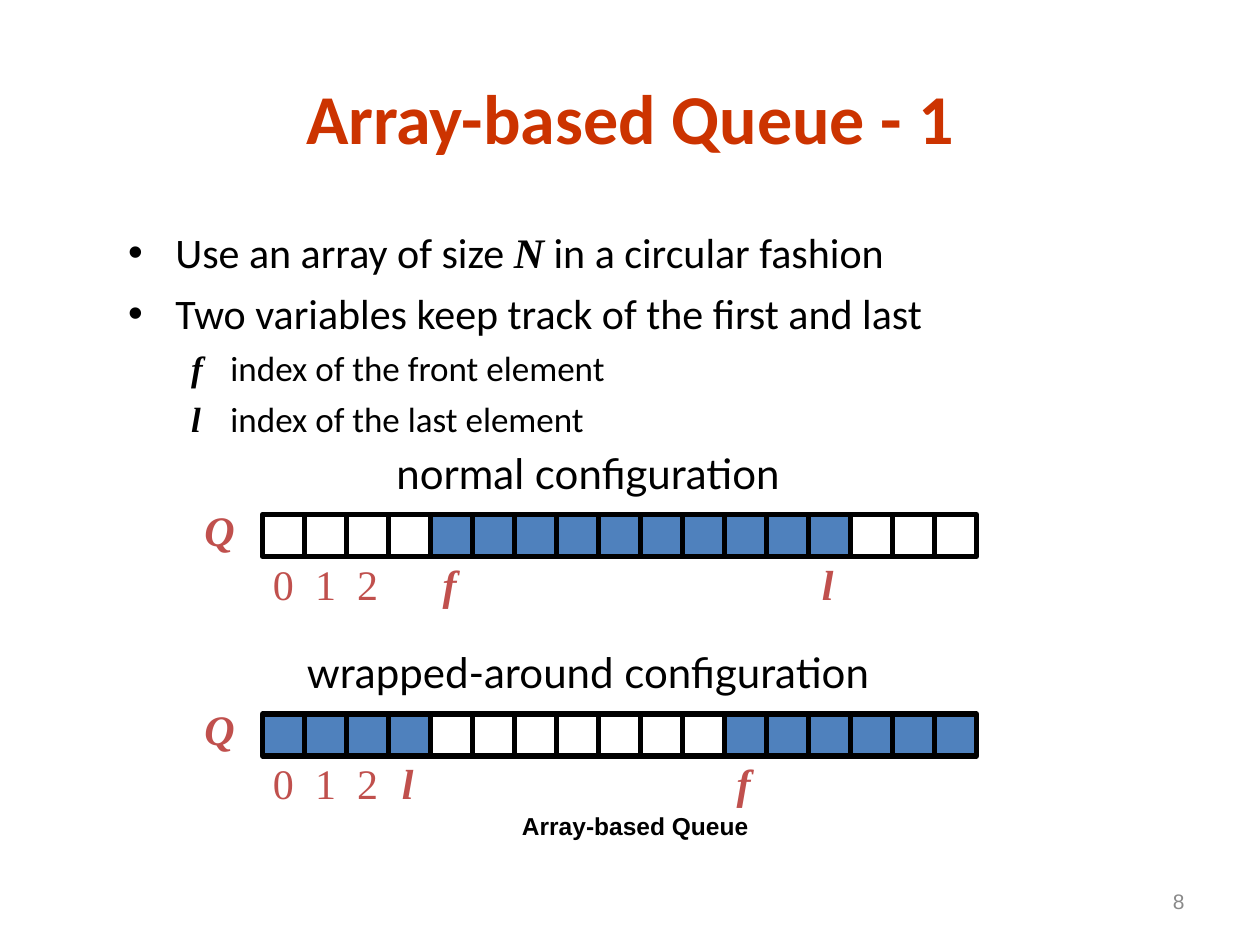
from lxml.etree import SubElement
from pptx import Presentation
from pptx.dml.color import RGBColor
from pptx.enum.shapes import MSO_SHAPE
from pptx.enum.text import MSO_ANCHOR, MSO_AUTO_SIZE, PP_ALIGN
from pptx.oxml.ns import qn
from pptx.util import Pt

BLACK = RGBColor(0x00, 0x00, 0x00)
WHITE = RGBColor(0xFF, 0xFF, 0xFF)
ORANGE = RGBColor(0xCC, 0x33, 0x00)
RED = RGBColor(0xC0, 0x50, 0x4D)
BLUE = RGBColor(0x4F, 0x81, 0xBD)
GRAY = RGBColor(0x89, 0x89, 0x89)
SERIF = "Times New Roman"

TITLE = "Array-based Queue - 1"
FOOTER = "Array-based Queue"
PAGE_NUMBER = "8"
VARIABLES = ("N", "f", "l")
BULLETS = [
    (0, ["Use an array of size ", "N", " in a circular fashion"]),
    (0, ["Two variables keep track of the first and last"]),
    (1, ["f", "\tindex of the front element"]),
    (1, ["l", "\tindex of the last element"]),
]
LEVELS = [
    {"size": 24, "before": 6, "margin": 27, "hanging": 27, "bullet": "•"},
    {"size": 20, "before": 5, "margin": 58.5, "hanging": 22.5, "bullet": None},
]
QUEUES = [
    {"caption": "normal configuration", "caption_width": 254, "top": 294,
     "front": 4, "last": 13, "filled": range(4, 14)},
    {"caption": "wrapped-around configuration", "caption_width": 363, "top": 408,
     "front": 11, "last": 3, "filled": [*range(4), *range(11, 17)]},
]
CELL_COUNT = 17
CELL = 24
ARRAY_LEFT = 150
CAPTION_CENTER = 336


def place(shape, left, top, width, height):
    shape.left, shape.top = Pt(left), Pt(top)
    shape.width, shape.height = Pt(width), Pt(height)


def add_text(shapes, text, area, size, name, color, align=PP_ALIGN.CENTER,
             bold=False, italic=False, inset=True, wrap=True):
    box = shapes.add_textbox(*map(Pt, area))
    frame = box.text_frame
    frame.word_wrap = wrap
    if not inset:
        frame.margin_left = frame.margin_right = 0
        frame.margin_top = frame.margin_bottom = 0
    para = frame.paragraphs[0]
    para.text = text
    para.alignment = align
    font = para.font
    font.size, font.name, font.color.rgb = Pt(size), name, color
    font.bold, font.italic = bold, italic
    return box


def set_bullet(para, style):
    props = para._p.get_or_add_pPr()
    props.set("marL", str(Pt(style["margin"])))
    props.set("indent", str(-Pt(style["hanging"])))
    if style["bullet"]:
        SubElement(props, qn("a:buChar"), char=style["bullet"])
    else:
        SubElement(props, qn("a:buNone"))


def fill_body(body):
    place(body, 66, 126, 588, 150)
    frame = body.text_frame
    frame.auto_size = MSO_AUTO_SIZE.NONE
    for index, (level, spans) in enumerate(BULLETS):
        para = frame.add_paragraph() if index else frame.paragraphs[0]
        style = LEVELS[level]
        para.level = level
        para.space_before = Pt(style["before"])
        set_bullet(para, style)
        para.font.size = Pt(style["size"])
        for text in spans:
            span = para.add_run()
            span.text = text
            is_variable = text in VARIABLES
            font = span.font
            font.size = Pt(style["size"])
            font.name = SERIF if is_variable else "Calibri"
            font.bold = font.italic = is_variable
            font.color.rgb = BLACK


def add_queue(page, queue):
    shapes = page.shapes.add_group_shape().shapes
    top = queue["top"]

    def add_label(text, left, label_top, width, variable):
        add_text(shapes, text, (left, label_top, width, 29), 24, SERIF, RED,
                 bold=variable, italic=variable, inset=False, wrap=variable)

    add_label("Q", 114, top - 6, 23, True)
    for index in range(3):
        add_label(str(index), ARRAY_LEFT + index * CELL + 6, top + 25, 12, False)
    for name, index in (("f", queue["front"]), ("l", queue["last"])):
        add_label(name, ARRAY_LEFT + index * CELL, top + 25, 22, True)

    for index in range(CELL_COUNT):
        cell = shapes.add_shape(MSO_SHAPE.RECTANGLE, Pt(ARRAY_LEFT + index * CELL),
                                Pt(top), Pt(CELL), Pt(CELL))
        cell.shadow.inherit = False
        cell.fill.solid()
        cell.fill.fore_color.rgb = BLUE if index in queue["filled"] else WHITE
        cell.line.color.rgb = BLACK
        cell.line.width = Pt(3)

    width = queue["caption_width"]
    add_text(shapes, queue["caption"], (CAPTION_CENTER - width / 2, top - 42, width, 36),
             24, "Lato", BLACK, wrap=False)


def main():
    deck = Presentation()
    deck.slide_width, deck.slide_height = Pt(720), Pt(540)
    page = deck.slides.add_slide(deck.slide_layouts[1])

    title = page.shapes.title
    place(title, 36, 39, 648, 55.5)
    title.text_frame.text = TITLE
    title.text_frame.vertical_anchor = MSO_ANCHOR.MIDDLE
    para = title.text_frame.paragraphs[0]
    para.alignment = PP_ALIGN.CENTER
    para.font.size, para.font.name = Pt(40), "Calibri"
    para.font.bold, para.font.color.rgb = True, ORANGE

    fill_body(page.placeholders[1])
    for queue in QUEUES:
        add_queue(page, queue)

    footer = add_text(page.shapes, FOOTER, (192, 460, 342, 24.5), 14, "Arial", BLACK, bold=True)
    footer.text_frame.paragraphs[0].space_before = Pt(8.8)
    number = add_text(page.shapes, PAGE_NUMBER, (516, 500.5, 168, 28.5), 12, "Arial", GRAY,
                      align=PP_ALIGN.RIGHT)
    number.text_frame.vertical_anchor = MSO_ANCHOR.MIDDLE
    deck.save("out.pptx")


if __name__ == "__main__":
    main()
